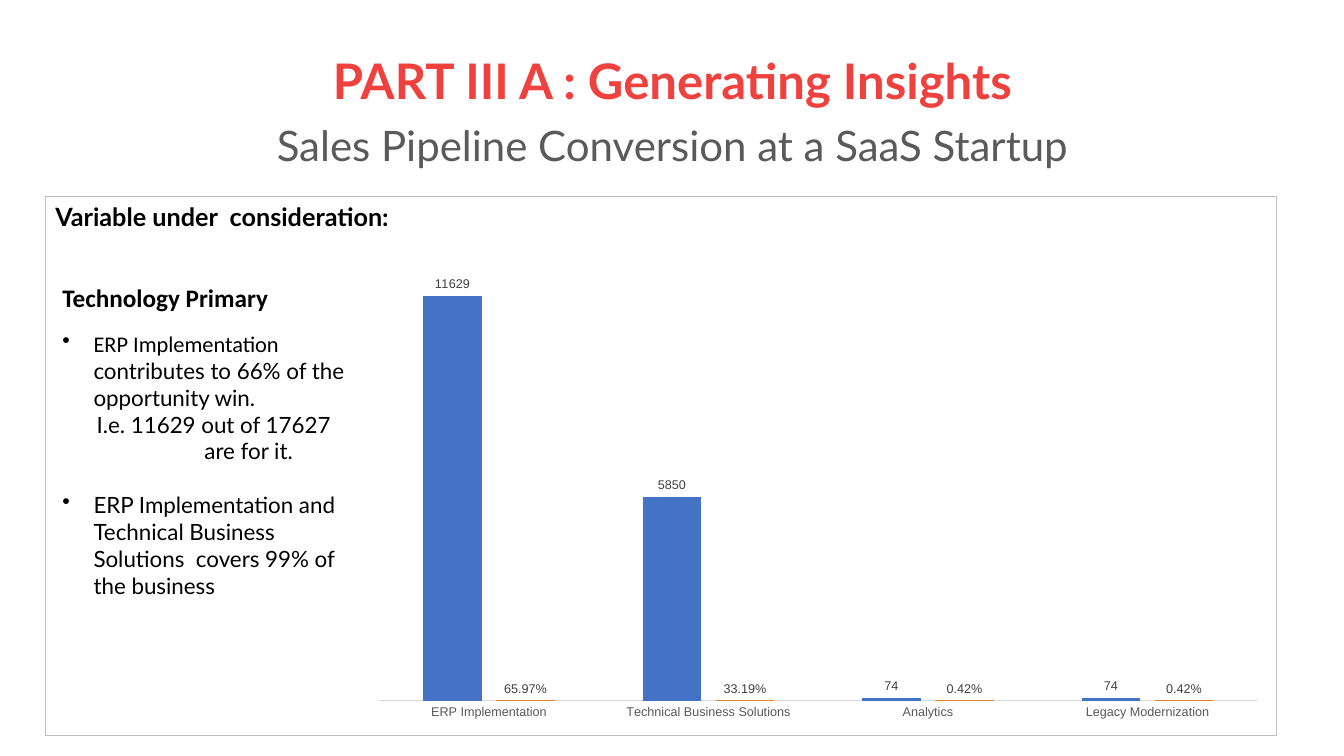
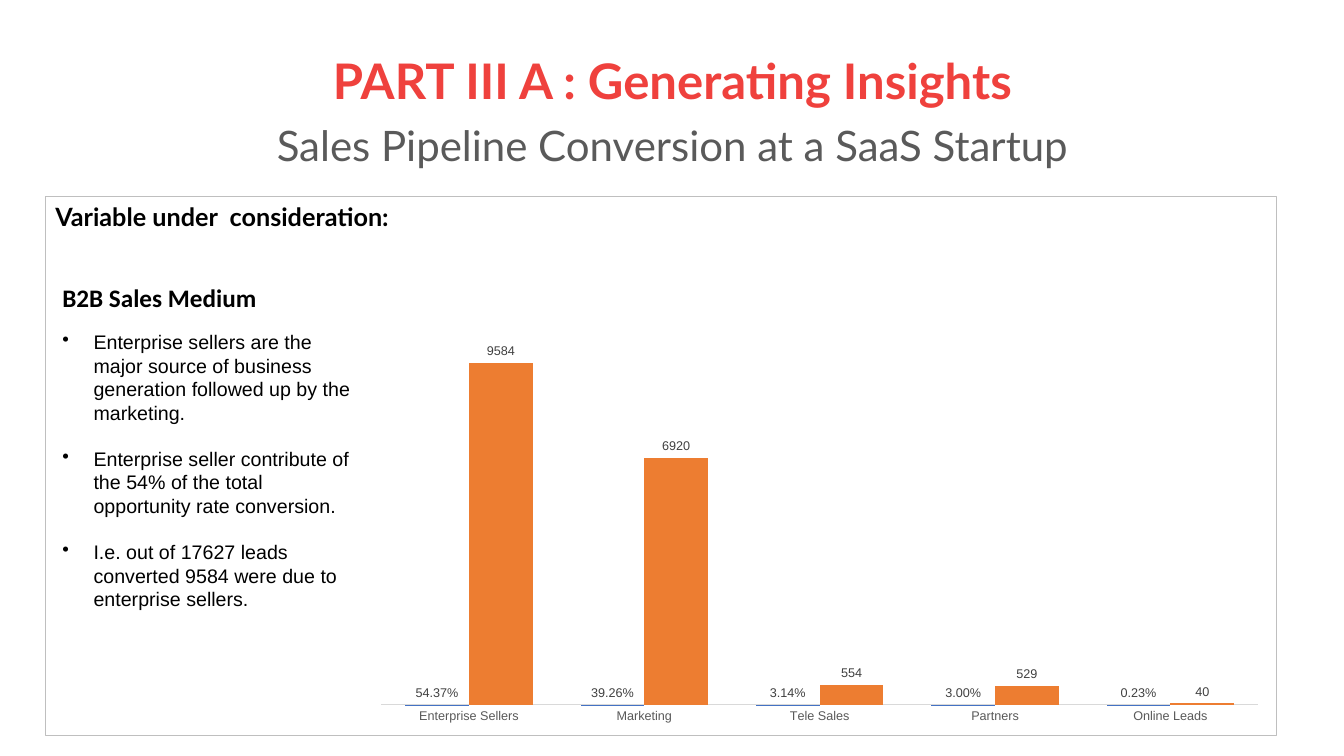
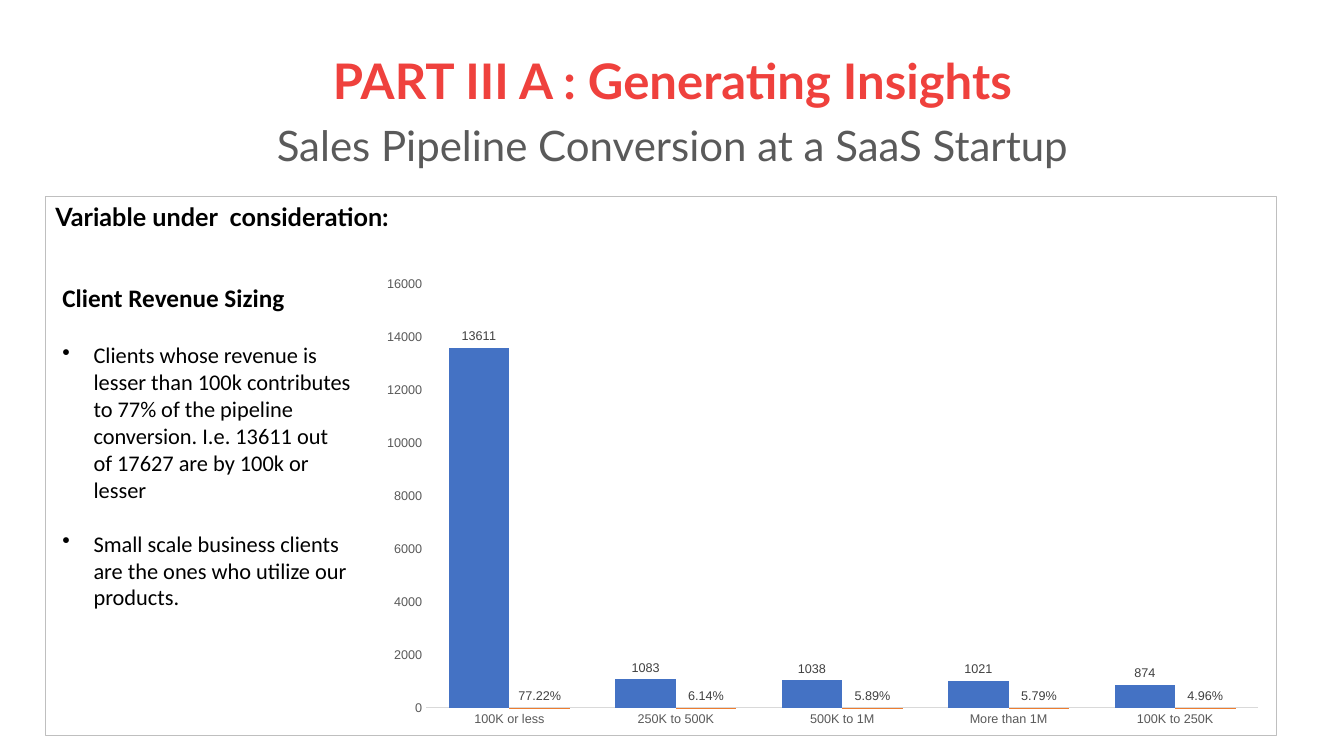
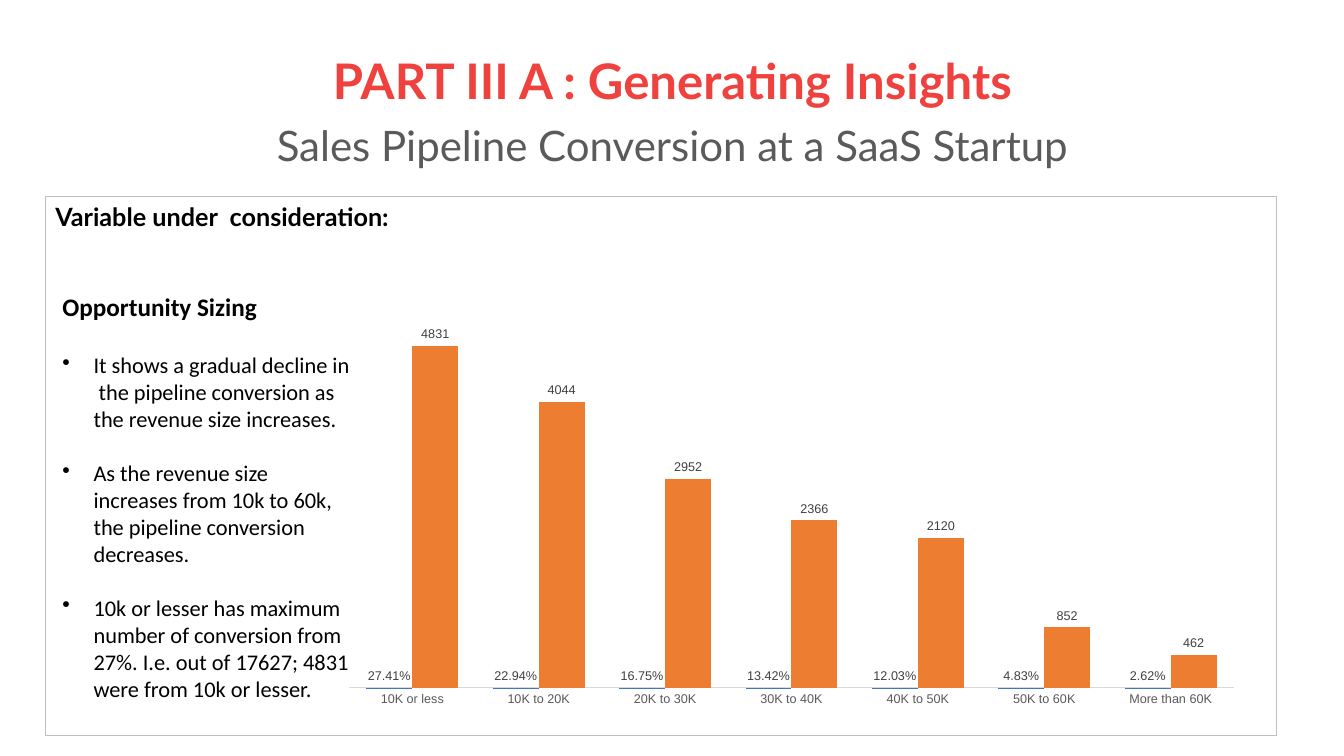
from pptx import Presentation
from pptx.chart.data import CategoryChartData
from pptx.dml.color import RGBColor
from pptx.enum.chart import XL_CHART_TYPE as ChartType, XL_LABEL_POSITION as LabelPos, XL_TICK_MARK as Tick
from pptx.enum.shapes import MSO_SHAPE as Shape
from pptx.enum.text import MSO_ANCHOR as Anchor, PP_ALIGN as Align
from pptx.oxml.ns import qn
from pptx.util import Inches, Pt

RED = RGBColor(0xEF, 0x41, 0x3D)
GREY = RGBColor(0x5A, 0x5A, 0x5A)
BLACK = RGBColor(0, 0, 0)
FRAME = RGBColor(0xBF, 0xBF, 0xBF)
AXIS_LINE = RGBColor(0xD9, 0xD9, 0xD9)
AXIS_TEXT = RGBColor(0x59, 0x59, 0x59)
LABEL_TEXT = RGBColor(0x40, 0x40, 0x40)
SERIES_COLORS = (RGBColor(0x44, 0x72, 0xC4), RGBColor(0xED, 0x7D, 0x31))


def set_font(font, size, color=BLACK, name="Arial", bold=False):
    font.size, font.name, font.bold = Pt(size), name, bold
    font.color.rgb = color


def add_text(p, text, **fmt):
    r = p.add_run()
    r.text = text
    set_font(r.font, **fmt)


def indent(p, left, bullet=False):
    """Indent a paragraph; a bullet hangs at the margin."""
    pPr = p._p.get_or_add_pPr()
    pPr.set("marL", str(Inches(left)))
    if bullet:
        pPr.set("indent", str(-Inches(left)))
        pPr.append(pPr.makeelement(qn("a:buChar"), {"char": "•"}))


class Deck:
    """Holds the presentation, the shared style and the current slide."""

    def __init__(self):
        self.prs = Presentation()
        self.prs.slide_width, self.prs.slide_height = Inches(13.33), Inches(7.5)
        self.s = None

    def new_slide(self):
        self.s = self.prs.slides.add_slide(self.prs.slide_layouts[6])
        self.title()
        self.frame()

    def text_box(self, *box):
        tf = self.s.shapes.add_textbox(*map(Inches, box)).text_frame
        tf.word_wrap = True
        return tf

    def title(self):
        tf = self.text_box(0.92, 0.4, 11.5, 1.45)
        tf.vertical_anchor = Anchor.MIDDLE
        head, sub = tf.paragraphs[0], tf.add_paragraph()
        add_text(head, "PART III A : Generating Insights",
                 size=35, color=RED, name="Lato", bold=True)
        add_text(sub, "Sales Pipeline Conversion at a SaaS Startup",
                 size=30, color=GREY, name="Lato")
        for p in (head, sub):
            p.alignment, p.line_spacing = Align.CENTER, 0.9
        sub.space_before = Pt(10.8)

    def frame(self):
        sp = self.s.shapes.add_shape(Shape.RECTANGLE, Inches(0.45), Inches(1.95),
                                     Inches(12.21), Inches(5.35))
        sp.shadow.inherit = False
        sp.fill.background()
        sp.line.color.rgb, sp.line.width = FRAME, Pt(0.75)
        tf = sp.text_frame
        tf.vertical_anchor = Anchor.TOP
        p = tf.paragraphs[0]
        p.alignment = Align.LEFT
        add_text(p, "Variable under  consideration:", size=18, name="Lato", bold=True)

    def findings(self, heading, items, size, head_gap, item_gap, top=2.75, height=3.7):
        """Each item is (runs, left indent, bulleted); a run is (text, font)."""
        tf = self.text_box(0.52, top, 3.06, height)
        add_text(tf.paragraphs[0], heading, size=18, name="Calibri", bold=True)
        for i, (runs, left, bulleted) in enumerate(items):
            p = tf.add_paragraph()
            indent(p, left, bulleted)
            if bulleted:
                p.space_before = Pt(item_gap if i else head_gap)
            for text, name in runs:
                add_text(p, text, size=size, name=name)

    def chart(self, box, cats, series, top_value, gap=75, overlap=0, show_values=False):
        data = CategoryChartData()
        data.categories = cats
        for i, vals in enumerate(series, 1):
            data.add_series(f"Series {i}", vals)
        ch = self.s.shapes.add_chart(ChartType.COLUMN_CLUSTERED, *map(Inches, box), data).chart
        ch.has_legend = ch.has_title = False
        set_font(ch.font, 10)
        plot = ch.plots[0]
        plot.gap_width, plot.overlap, plot.vary_by_categories = gap, overlap, False
        for ser, vals, color in zip(plot.series, series, SERIES_COLORS):
            ser.format.fill.solid()
            ser.format.fill.fore_color.rgb = color
            ser.invert_if_negative = False
            labels = ser.data_labels
            labels.show_value = True
            labels.position = LabelPos.OUTSIDE_END
            labels.number_format = "0.00%" if max(vals) < 1 else "General"
            labels.number_format_is_linked = False
            set_font(labels.font, 9, LABEL_TEXT)
        for axis in (ch.category_axis, ch.value_axis):
            axis.major_tick_mark = axis.minor_tick_mark = Tick.NONE
            axis.has_major_gridlines = False
            set_font(axis.tick_labels.font, 9, AXIS_TEXT)
        line = ch.category_axis.format.line
        line.color.rgb, line.width = AXIS_LINE, Pt(0.75)
        values = ch.value_axis
        values.minimum_scale, values.maximum_scale = 0, top_value
        values.visible = show_values
        values.format.line.fill.background()


def bullets(name, *texts):
    return [([(text, name)], 0.31, True) for text in texts]


def main():
    deck = Deck()

    deck.new_slide()
    deck.chart((3.58, 2.01, 9.07, 5.23),
               ("ERP Implementation", "Technical Business Solutions", "Analytics",
                "Legacy Modernization"),
               ((11629, 5850, 74, 74), (0.6597, 0.3319, 0.0042, 0.0042)),
               top_value=14000, gap=150, overlap=-25)
    deck.findings("Technology Primary", [
        ([("ERP Implementation ", "Calibri"),
          ("contributes to 66% of the opportunity win.", "Lato")], 0.31, True),
        ([("I.e. 11629 out of 17627", "Lato")], 0.34, False),
        ([("are for it.", "Lato")], 1.41, False),
        *bullets("Lato", "ERP Implementation and Technical Business Solutions  "
                 "covers 99% of the business"),
    ], size=16, head_gap=12.6, item_gap=19.2)

    deck.new_slide()
    deck.chart((3.6, 2.65, 9.06, 4.62),
               ("Enterprise Sellers", "Marketing", "Tele Sales", "Partners", "Online Leads"),
               ((0.5437, 0.3926, 0.0314, 0.03, 0.0023), (9584, 6920, 554, 529, 40)),
               top_value=12000)
    deck.findings("B2B Sales Medium", bullets(
        "Arial",
        "Enterprise sellers are the major source of business generation followed up "
        "by the marketing.",
        "Enterprise seller contribute of the 54% of the total opportunity rate conversion.",
        "I.e. out of 17627 leads converted 9584 were due to enterprise sellers.",
    ), size=14, head_gap=12.6, item_gap=16.1, height=3.42)

    deck.new_slide()
    deck.chart((3.66, 2.66, 9, 4.64),
               ("100K or less", "250K to 500K", "500K to 1M", "More than 1M", "100K to 250K"),
               ((13611, 1083, 1038, 1021, 874), (0.7722, 0.0614, 0.0589, 0.0579, 0.0496)),
               top_value=16000, show_values=True)
    deck.findings("Client Revenue Sizing", bullets(
        "Calibri",
        "Clients whose revenue is lesser than 100k contributes to 77% of the pipeline "
        "conversion. I.e. 13611 out of 17627 are by 100k or lesser",
        "Small scale business clients are the ones who utilize our products.",
    ), size=16, head_gap=20.7, item_gap=19.5)

    deck.new_slide()
    deck.chart((3.28, 2.52, 9.14, 4.58),
               ("10K or less", "10K to 20K", "20K to 30K", "30K to 40K", "40K to 50K",
                "50K to 60K", "More than 60K"),
               ((0.2741, 0.2294, 0.1675, 0.1342, 0.1203, 0.0483, 0.0262),
                (4831, 4044, 2952, 2366, 2120, 852, 462)),
               top_value=6000)
    deck.findings("Opportunity Sizing", bullets(
        "Calibri",
        "It shows a gradual decline in  the pipeline conversion as the revenue size increases.",
        "As the revenue size increases from 10k to 60k, the pipeline conversion decreases.",
        "10k or lesser has maximum number of conversion from 27%. I.e. out of 17627; "
        "4831 were from 10k or lesser.",
    ), size=16, head_gap=21.5, item_gap=19.5, top=2.84, height=4.52)

    deck.prs.save("out.pptx")


if __name__ == "__main__":
    main()
